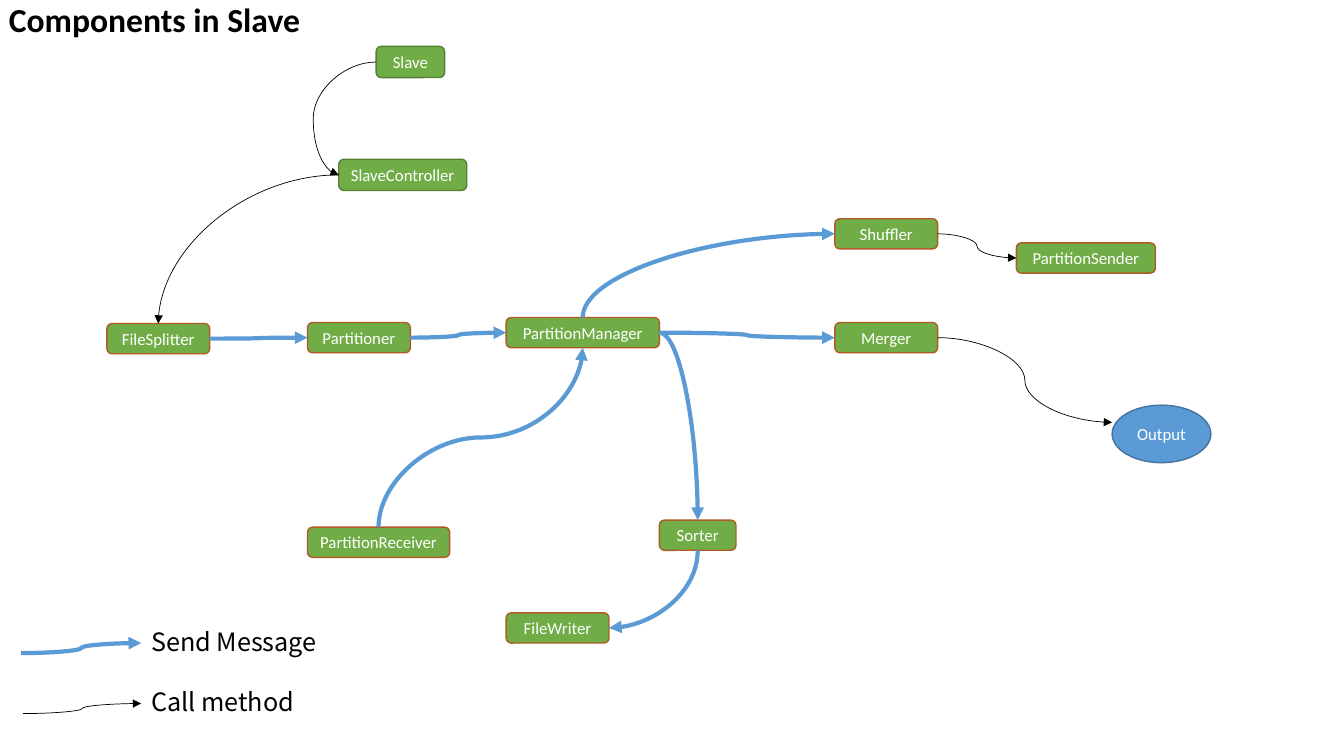
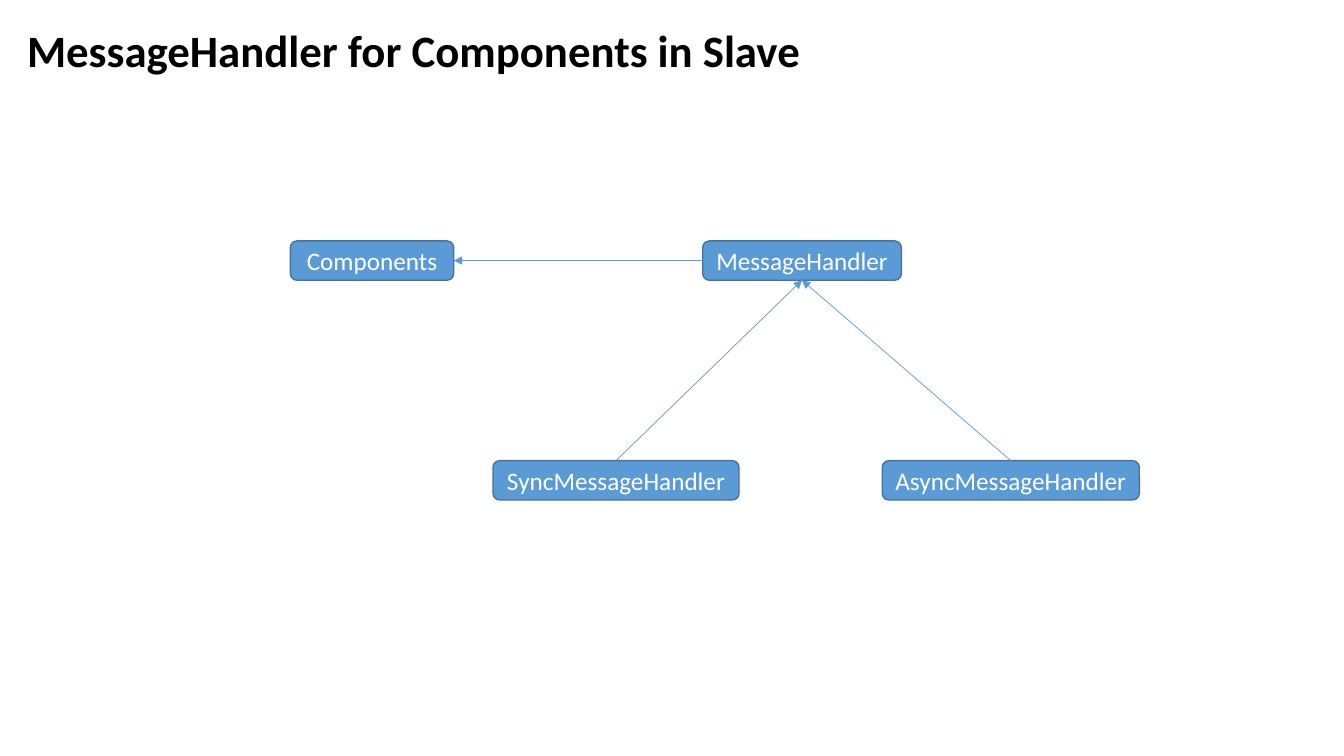
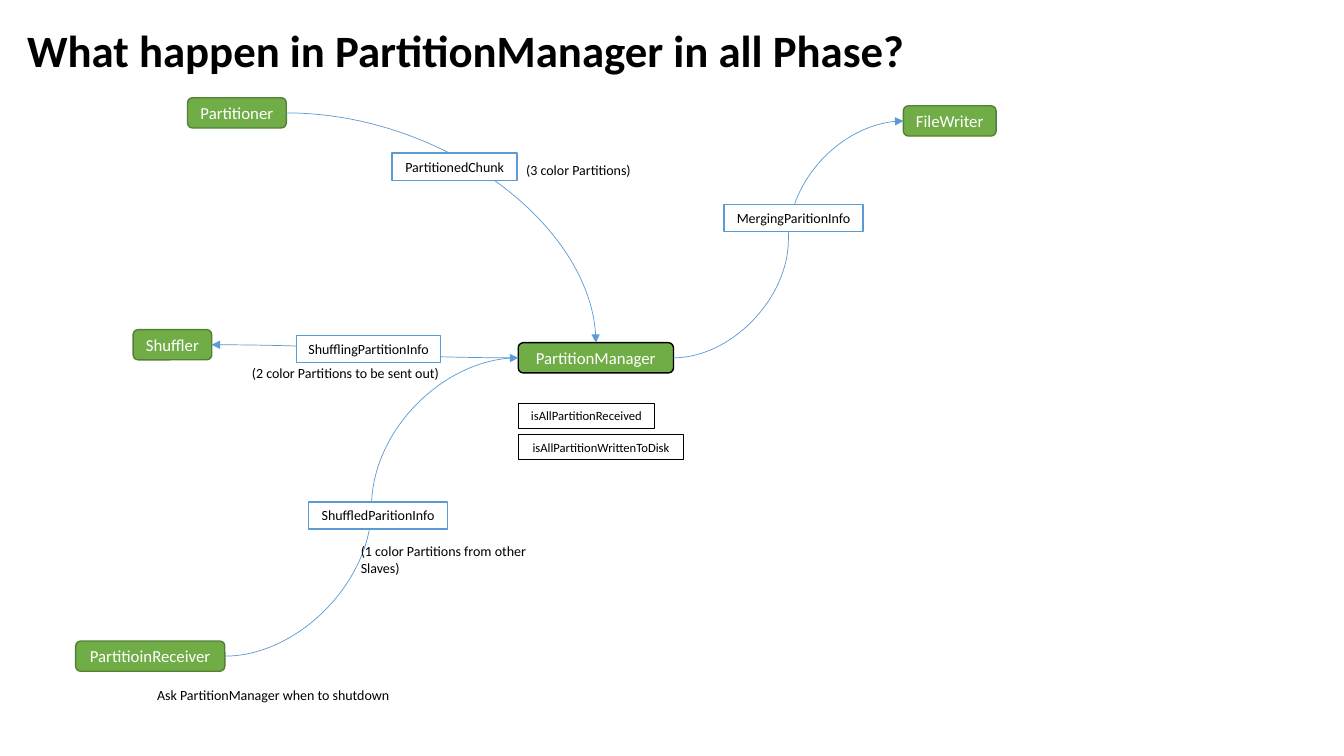
from dataclasses import dataclass

from lxml import etree
from pptx import Presentation
from pptx import util as u
from pptx.dml.color import RGBColor
from pptx.enum import shapes, text
from pptx.oxml.ns import qn

GRID = u.Inches(1)  # one column wide, one row high
COLS, ROWS = 13.33, 7.5
LATIN, CJK = "Calibri", "Noto Sans CJK KR"
ROUND = shapes.MSO_SHAPE.ROUNDED_RECTANGLE
RECT = shapes.MSO_SHAPE.RECTANGLE
OVAL = shapes.MSO_SHAPE.OVAL


@dataclass
class Look:
    """Style of a box or a plain text."""
    size: int
    color: str = "000000"
    fill: str = ""
    line: str = ""
    form: object = None
    font: str = LATIN
    bold: bool = False
    middle: bool = False


class Theme:
    """Colours and type sizes shared by the slides."""
    black, white, blue, green = "000000", "FFFFFF", "5B9BD5", "70AD47"
    dark_blue, dark_green, rust = "43739E", "538035", "AF5C24"
    small_title = Look(24, bold=True, middle=True)
    title = Look(32, bold=True, middle=True)
    legend = Look(18, font=CJK)
    note = Look(10)
    control = Look(12, white, green, dark_green, ROUND, middle=True)
    worker = Look(12, white, green, rust, ROUND, middle=True)
    manager = Look(12, white, green, black, ROUND, middle=True)
    output = Look(12, white, blue, dark_blue, OVAL, middle=True)
    handler = Look(18, white, blue, dark_blue, ROUND, middle=True)
    message = Look(10, black, white, blue, RECT)
    flag = Look(9, black, white, black, RECT)
    send, call, flow = (blue, 3), (black, 0.5), (blue, 0.5)


def put(s, words, look, *at):
    """Place words at left, top, width, height in the given look."""
    area = [int(v * GRID) for v in at]
    if look.form is None:
        sp = s.shapes.add_textbox(*area)
    else:
        sp = s.shapes.add_shape(look.form, *area)
        sp.shadow.inherit = False
        sp.fill.solid()
        sp.fill.fore_color.rgb = RGBColor.from_string(look.fill)
        sp.line.color.rgb = RGBColor.from_string(look.line)
        sp.line.width = u.Pt(1)
    tf = sp.text_frame
    tf.word_wrap = look.form is None
    anchors = text.MSO_ANCHOR
    tf.vertical_anchor = anchors.MIDDLE if look.middle else anchors.TOP
    p = tf.paragraphs[0]
    p.alignment = text.PP_ALIGN.CENTER if look.form else text.PP_ALIGN.LEFT
    if look.bold:
        p.line_spacing = 0.9
    r = p.add_run()
    r.text = words
    r.font.name, r.font.size, r.font.bold = look.font, u.Pt(look.size), look.bold
    r.font.color.rgb = RGBColor.from_string(look.color)
    return sp


def link(s, a, b, pen, sides="rl", adjust=None, straight=False):
    """Draw an arrow from a to b, each a shape or a point, leaving by the sides."""
    sites = {"t": (0, 0.5, 0), "l": (1, 0, 0.5), "b": (2, 0.5, 1), "r": (3, 1, 0.5)}
    ends = []
    for end, side in zip((a, b), sides):
        _, fx, fy = sites[side]
        if isinstance(end, tuple):
            ends.append([int(v * GRID) for v in end])
        else:
            ends.append([int(end.left + fx * end.width), int(end.top + fy * end.height)])
    (x1, y1), (x2, y2) = ends
    types = shapes.MSO_CONNECTOR
    cx = s.shapes.add_connector(types.STRAIGHT if straight else types.CURVE, x1, y1, x2, y2)
    for end, side, glue in zip((a, b), sides, (cx.begin_connect, cx.end_connect)):
        if not isinstance(end, tuple):
            glue(end, sites[side][0])
    props = cx.element.spPr
    if not straight:
        dx, dy = x2 - x1, y2 - y1
        upright = sides[0] in "tb"
        w, h = (abs(dy), abs(dx)) if upright else (abs(dx), abs(dy))
        cx.left, cx.top = (x1 + x2 - w) // 2, (y1 + y2 - h) // 2
        cx.width, cx.height = w, h
        turn = 90 if upright else 180 if dx < 0 else 0
        frame = props.find(qn("a:xfrm"))
        frame.set("rot", str(turn * 60000))
        frame.set("flipH", str(int(upright and dy < 0)))
        frame.set("flipV", str(int(dx > 0 if upright else dx * dy < 0)))
        geometry = props.find(qn("a:prstGeom"))
        if upright != (sides[1] in "tb"):
            geometry.set("prst", "curvedConnector2")
        if adjust:
            etree.SubElement(geometry.find(qn("a:avLst")), qn("a:gd"),
                             name="adj1", fmla=f"val {int(adjust * 100000)}")
    color, width = pen
    cx.line.color.rgb = RGBColor.from_string(color)
    cx.line.width = u.Pt(width)
    etree.SubElement(props.find(qn("a:ln")), qn("a:tailEnd"), type="triangle")
    etree.SubElement(props, qn("a:effectLst"))


T = Theme
prs = Presentation()
prs.slide_width, prs.slide_height = int(COLS * GRID), int(ROWS * GRID)
blank = prs.slide_layouts[6]

# Components and the messages between them
s = prs.slides.add_slide(blank)
put(s, "Components in Slave", T.small_title, -0.01, 0.12, 13.03, 0.18)
NODE_W, NODE_H = 1.02, 0.3
LEFT, CENTRE, RIGHT = 3.05, 5.02, 8.28
nodes = {}
for name, x, y, w in [
    ("FileSplitter", 1.06, 3.21, NODE_W), ("Partitioner", LEFT, 3.2, NODE_W),
    ("PartitionManager", CENTRE, 3.15, 1.52), ("Sorter", 6.54, 5.16, 0.76),
    ("Shuffler", RIGHT, 2.17, NODE_W), ("Merger", RIGHT, 3.2, NODE_W),
    ("PartitionSender", 10.08, 2.41, 1.38), ("PartitionReceiver", LEFT, 5.23, 1.41),
    ("FileWriter", CENTRE, 6.08, NODE_W),
]:
    nodes[name] = put(s, name, T.worker, x, y, w, NODE_H)
for name, x, y, w in [("Slave", 3.73, 0.46, 0.68), ("SlaveController", 3.36, 1.58, 1.27)]:
    nodes[name] = put(s, name, T.control, x, y, w, 0.31)
put(s, "Output", T.output, 11.03, 4.02, 0.98, 0.57)
for start, end, pen, sides, adjust in [
    ("FileSplitter", "Partitioner", T.send, "rl", None),
    ("Partitioner", "PartitionManager", T.send, "rl", None),
    ("PartitionManager", "Sorter", T.send, "rt", None),
    ("PartitionManager", "Merger", T.send, "rl", None),
    ("PartitionManager", "Shuffler", T.send, "tl", None),
    ("PartitionReceiver", "PartitionManager", T.send, "tb", None),
    ("Sorter", "FileWriter", T.send, "br", None),
    ("SlaveController", "FileSplitter", T.call, "lt", None),
    ("Slave", "SlaveController", T.call, "ll", 1.685),
    ("Shuffler", "PartitionSender", T.call, "rl", None),
]:
    link(s, nodes[start], nodes[end], pen, sides, adjust)
link(s, nodes["Merger"], (11.03, 4.19), T.call)
for words, pen, x, y in [("Send Message", T.send, 0.21, 6.38), ("Call method", T.call, 0.23, 6.98)]:
    link(s, (x, y + 0.1), (1.4, y), pen)
    put(s, words, T.legend, 1.4, y - 0.22, 2.07, 0.4)

# Handler classes
s = prs.slides.add_slide(blank)
TITLE_AT = 0.17, 0.17, 13.03, 0.71
put(s, "MessageHandler for Components in Slave", T.title, *TITLE_AT)
UPPER, LOWER = 2.39, 4.57
for name, x, y, w in [
    ("Components", 2.88, UPPER, 1.62), ("MessageHandler", 6.97, UPPER, 1.97),
    ("SyncMessageHandler", 4.89, LOWER, 2.44), ("AsyncMessageHandler", 8.75, LOWER, 2.55),
]:
    nodes[name] = put(s, name, T.handler, x, y, w, 0.39)
for start, end, sides in [
    ("SyncMessageHandler", "MessageHandler", "tb"),
    ("AsyncMessageHandler", "MessageHandler", "tb"),
    ("MessageHandler", "Components", "lr"),
]:
    link(s, nodes[start], nodes[end], T.flow, sides, straight=True)

# Messages around the partition manager
s = prs.slides.add_slide(blank)
put(s, "What happen in PartitionManager in all Phase?", T.title, *TITLE_AT)
MANAGER_X = 5.14
manager = put(s, "PartitionManager", T.manager, MANAGER_X, 3.4, 1.54, NODE_H)
for name, x, y, w in [
    ("Shuffler", 1.32, 3.27, 0.78), ("PartitioinReceiver", 0.75, 6.36, 1.48),
    ("Partitioner", 1.86, 0.97, 0.98), ("FileWriter", 8.96, 1.05, 0.92),
]:
    nodes[name] = put(s, name, T.control, x, y, w, NODE_H)
for start, end, sides in [
    (nodes["Partitioner"], manager, "rt"), (manager, nodes["Shuffler"], "lr"),
    (nodes["PartitioinReceiver"], manager, "rl"), (manager, nodes["FileWriter"], "rl"),
]:
    link(s, start, end, T.flow, sides)
for words, look, x, y, w, h in [
    ("PartitionedChunk", T.message, 3.89, 1.52, 1.24, 0.27),
    ("ShufflingPartitionInfo", T.message, 2.94, 3.33, 1.43, 0.27),
    ("ShuffledParitionInfo", T.message, 3.06, 4.98, 1.38, 0.27),
    ("MergingParitionInfo", T.message, 7.18, 2.03, 1.38, 0.27),
    ("isAllPartitionReceived", T.flag, MANAGER_X, 4, 1.35, 0.25),
    ("isAllPartitionWrittenToDisk", T.flag, MANAGER_X, 4.31, 1.64, 0.25),
    ("(3 color Partitions)", T.note, 5.12, 1.55, 2.29, 0.27),
    ("(2 color Partitions to be sent out)", T.note, 2.4, 3.57, 2.16, 0.27),
    ("(1 color Partitions from other Slaves)", T.note, 3.48, 5.33, 1.88, 0.44),
    ("Ask PartitionManager when to shutdown", T.note, 1.46, 6.76, 2.57, 0.27),
]:
    put(s, words, look, x, y, w, h)

prs.save("out.pptx")
